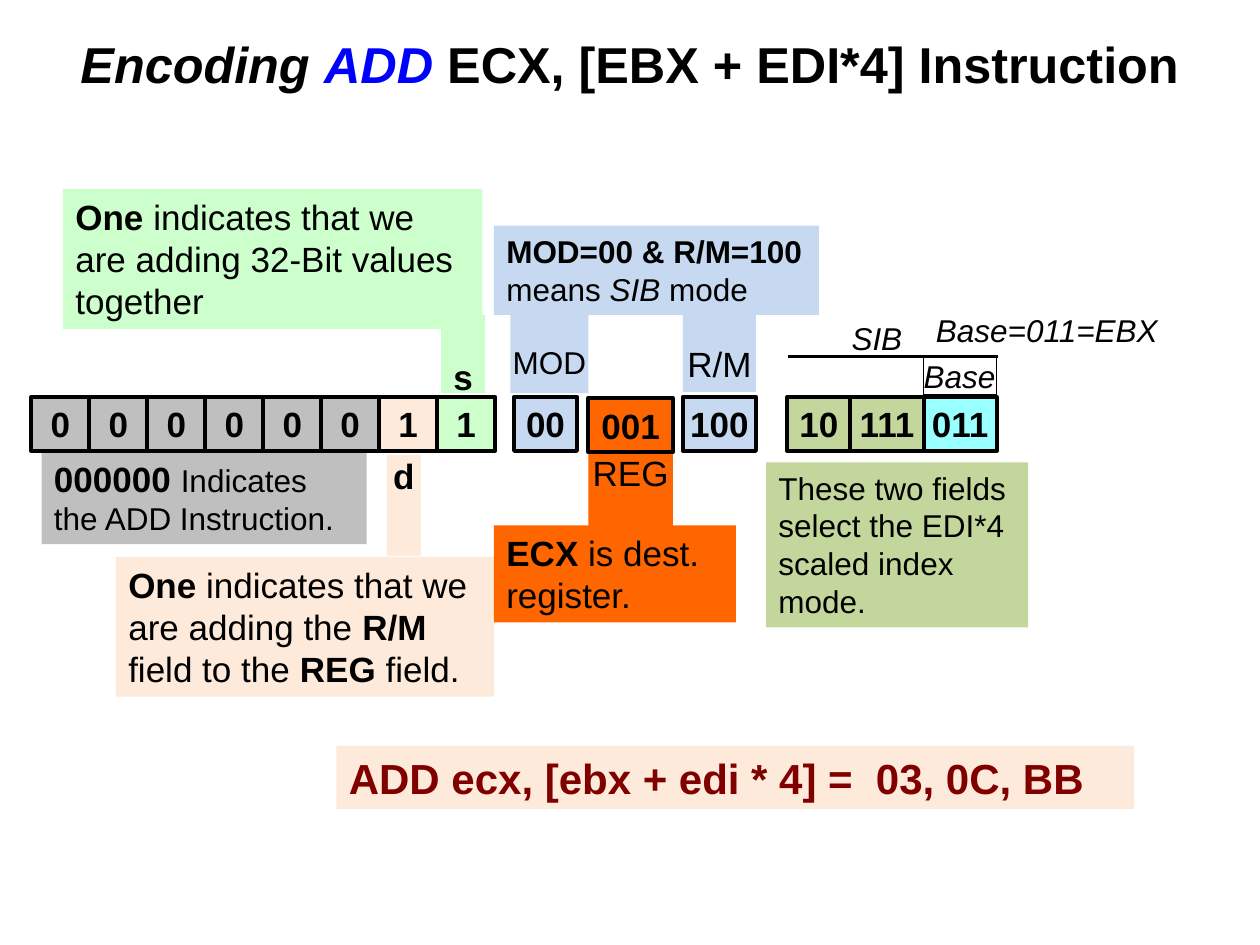
from lxml.etree import SubElement
from pptx import Presentation
from pptx.dml.color import RGBColor
from pptx.enum.shapes import MSO_CONNECTOR, MSO_SHAPE
from pptx.enum.text import MSO_ANCHOR, PP_ALIGN
from pptx.oxml.ns import qn
from pptx.util import Inches, Pt

BLACK = RGBColor(0x00, 0x00, 0x00)
BLUE = RGBColor(0x00, 0x00, 0xFF)
MAROON = RGBColor(0x80, 0x00, 0x00)
GRAY = RGBColor(0xBF, 0xBF, 0xBF)
PEACH = RGBColor(0xFD, 0xEA, 0xDA)
MINT = RGBColor(0xCC, 0xFF, 0xCC)
PALE_BLUE = RGBColor(0xC6, 0xD9, 0xF1)
ORANGE = RGBColor(0xFF, 0x66, 0x00)
OLIVE = RGBColor(0xC3, 0xD6, 0x9B)
CYAN = RGBColor(0x99, 0xFF, 0xFF)

CELL_HEIGHT = 0.43
CELL_TOP = 3.15


def write_runs(text_frame, runs, size, color=BLACK, align=PP_ALIGN.LEFT):
    """Fill one paragraph with (text, style letters) runs."""
    paragraph = text_frame.paragraphs[0]
    paragraph.alignment = align
    paragraph.font.name = "Arial"
    paragraph.font.size = Pt(size)
    paragraph.font.color.rgb = color
    for text, style in runs:
        run = paragraph.add_run()
        run.text = text
        run.font.bold = "b" in style
        run.font.italic = "i" in style
    return paragraph


def set_insets(text_frame, inset, top=0):
    """Give all sides one inset, with extra room at the top."""
    text_frame.margin_left = text_frame.margin_right = Inches(inset)
    text_frame.margin_top = Inches(inset + top)
    text_frame.margin_bottom = Inches(inset)


def add_box(slide, box, fill=None, line_width=None):
    """Add a flat rectangle with an optional fill and black outline."""
    shape = slide.shapes.add_shape(MSO_SHAPE.RECTANGLE, *map(Inches, box))
    shape.shadow.inherit = False
    if fill is None:
        shape.fill.background()
    else:
        shape.fill.solid()
        shape.fill.fore_color.rgb = fill
    if line_width is None:
        shape.line.fill.background()
    else:
        shape.line.color.rgb = BLACK
        shape.line.width = Pt(line_width)
    shape.text_frame.word_wrap = True
    return shape


def add_callout(slide, box, fill, runs, size=20, color=BLACK):
    """Add a filled explanation box."""
    text_frame = add_box(slide, box, fill).text_frame
    text_frame.vertical_anchor = MSO_ANCHOR.TOP
    write_runs(text_frame, runs, size, color)


def add_tab(slide, box, fill, text, style="", size=20, top=0):
    """Add a narrow labelled strip joining a callout to its field."""
    text_frame = add_box(slide, box, fill).text_frame
    text_frame.word_wrap = False
    text_frame.vertical_anchor = MSO_ANCHOR.TOP
    set_insets(text_frame, 0, top)
    write_runs(text_frame, [(text, style)], size, align=PP_ALIGN.CENTER)


def add_field_row(slide, left, top, fields):
    """Place adjoining bit fields given as (bits, width, fill)."""
    for bits, width, fill in fields:
        shape = add_box(slide, (left, top, width, CELL_HEIGHT), fill, 2.25)
        text_frame = shape.text_frame
        text_frame.vertical_anchor = MSO_ANCHOR.MIDDLE
        set_insets(text_frame, 0)
        write_runs(text_frame, [(bits, "b")], 20, align=PP_ALIGN.CENTER)
        left += width


def add_label(slide, box, text):
    """Add an italic label without a fill."""
    text_frame = slide.shapes.add_textbox(*map(Inches, box)).text_frame
    text_frame.word_wrap = False
    write_runs(text_frame, [(text, "i")], 18)


def add_title(slide, box):
    """Place and format the title placeholder."""
    title = slide.shapes.title
    title.left, title.top, title.width, title.height = map(Inches, box)
    title.text_frame.vertical_anchor = MSO_ANCHOR.MIDDLE
    runs = [("Encoding ", "bi"), ("ADD ", "bi"),
            ("ECX, [EBX + EDI*4] Instruction", "b")]
    paragraph = write_runs(title.text_frame, runs, 28.8, align=PP_ALIGN.CENTER)
    paragraph.runs[1].font.color.rgb = BLUE


def add_sib_header(slide, left, top, width):
    """Draw the SIB rule and the labels around it."""
    rule = slide.shapes.add_connector(
        MSO_CONNECTOR.STRAIGHT, Inches(left), Inches(top),
        Inches(left + width), Inches(top))
    rule.line.color.rgb = BLACK
    rule.line.width = Pt(2)
    SubElement(rule._element.spPr, qn("a:effectLst"))
    add_label(slide, (left + 0.41, top - 0.35, 0.62, 0.4), "SIB")
    add_label(slide, (left + 1.08, top - 0.41, 2.02, 0.4), "Base=011=EBX")
    base = add_box(slide, (left + 1.08, top, 0.58, 0.3), line_width=0.75)
    base.text_frame.vertical_anchor = MSO_ANCHOR.TOP
    set_insets(base.text_frame, 0)
    write_runs(base.text_frame, [("Base", "i")], 18)


def add_callouts(slide):
    """Place every explanation around the instruction fields."""
    add_callout(slide, (0.33, 3.58, 2.58, 0.74), GRAY,
                [("000000 ", "b"), ("Indicates the ADD Instruction.", "")], 18)
    opcode = slide.shapes[-1].text_frame.paragraphs[0].runs[0]
    opcode.font.size = Pt(20)
    add_callout(slide, (0.92, 4.42, 3, 1.11), PEACH,
                [("One ", "b"), ("indicates that we are adding the ", ""),
                 ("R/M", "b"), (" field to the ", ""), ("REG ", "b"),
                 ("field.", "")])
    add_callout(slide, (0.5, 1.5, 3.33, 1.11), MINT,
                [("One ", "b"),
                 ("indicates that we are adding 32-Bit values together", "")])
    add_callout(slide, (3.92, 1.79, 2.58, 0.71), PALE_BLUE,
                [("MOD=00 & R/M=100 ", "b"), ("means ", ""), ("SIB ", "i"),
                 ("mode", "")], 18)
    add_callout(slide, (3.92, 4.17, 1.92, 0.77), ORANGE,
                [("ECX ", "b"), ("is dest. register.", "")])
    add_callout(slide, (6.08, 3.67, 2.08, 1.31), OLIVE,
                [("These two fields select the EDI*4 scaled index mode.", "")],
                18)
    add_callout(slide, (2.67, 5.92, 6.33, 0.5), PEACH,
                [("ADD ecx, [ebx + edi * 4] =  03, 0C, BB", "b")], 24, MAROON)


def add_tabs(slide):
    """Place the field names between the callouts and the fields."""
    add_tab(slide, (3.07, 3.61, 0.27, 0.8), PEACH, "d", "b")
    add_tab(slide, (3.5, 2.5, 0.35, 0.62), MINT, "s", "b", top=0.32)
    add_tab(slide, (4.05, 2.5, 0.62, 0.62), PALE_BLUE, "MOD", size=18, top=0.22)
    add_tab(slide, (4.67, 3.58, 0.67, 0.62), ORANGE, "REG")
    add_tab(slide, (5.42, 2.5, 0.58, 0.61), PALE_BLUE, "R/M", top=0.22)


def add_fields(slide):
    """Place the opcode, MOD-REG-R/M and SIB bit fields."""
    opcode = [("0", 0.46, GRAY)] * 6 + [("1", 0.46, PEACH), ("1", 0.46, MINT)]
    add_field_row(slide, 0.25, CELL_TOP, opcode)
    add_field_row(slide, 4.08, CELL_TOP, [("00", 0.5, PALE_BLUE)])
    add_field_row(slide, 4.67, CELL_TOP + 0.01, [("001", 0.67, ORANGE)])
    add_field_row(slide, 5.42, CELL_TOP, [("100", 0.58, PALE_BLUE)])
    add_field_row(slide, 6.25, CELL_TOP, [
        ("10", 0.5, OLIVE), ("111", 0.58, OLIVE), ("011", 0.58, CYAN)])


def main():
    """Build and save the instruction encoding slide."""
    presentation = Presentation()
    presentation.slide_width = Inches(10)
    presentation.slide_height = Inches(7.5)
    slide = presentation.slides.add_slide(presentation.slide_layouts[5])
    add_title(slide, (0.25, 0.17, 9.5, 0.67))
    add_callouts(slide)
    add_tabs(slide)
    add_fields(slide)
    add_sib_header(slide, 6.25, 2.83, 1.67)
    presentation.save("out.pptx")


if __name__ == "__main__":
    main()
